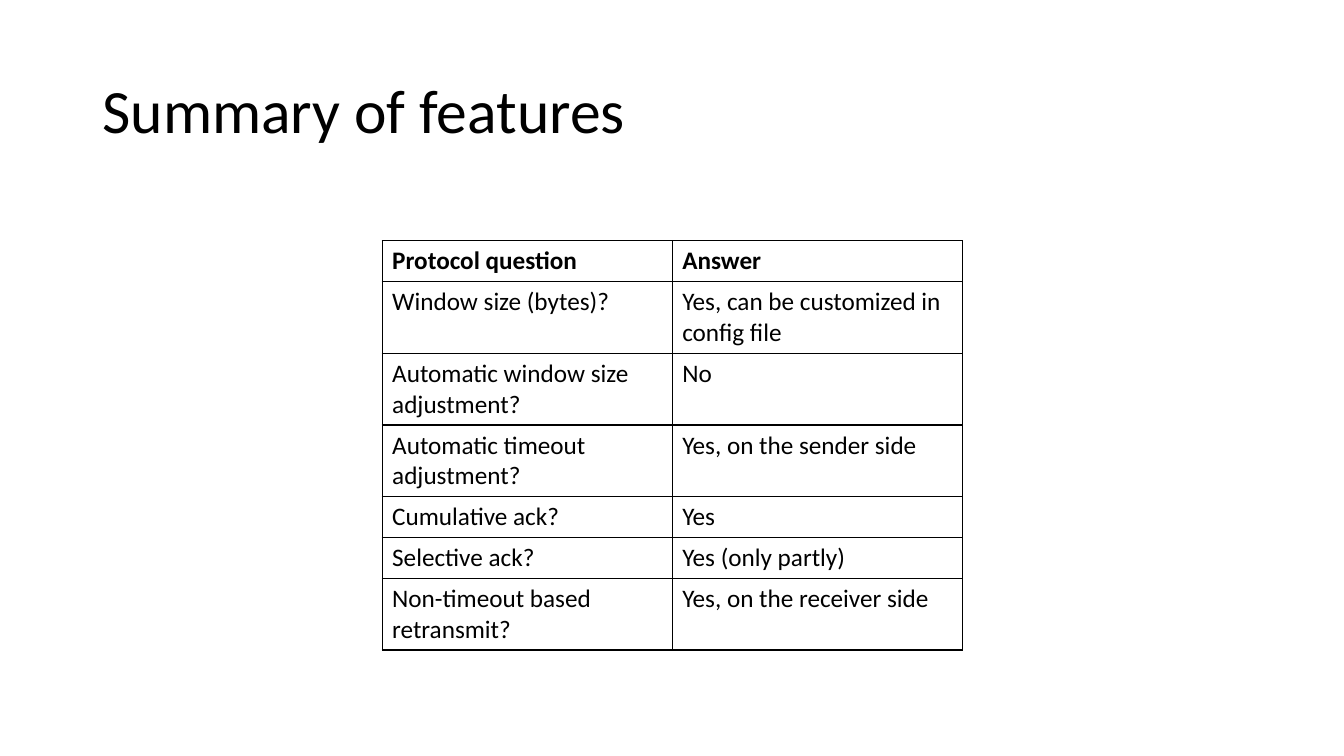
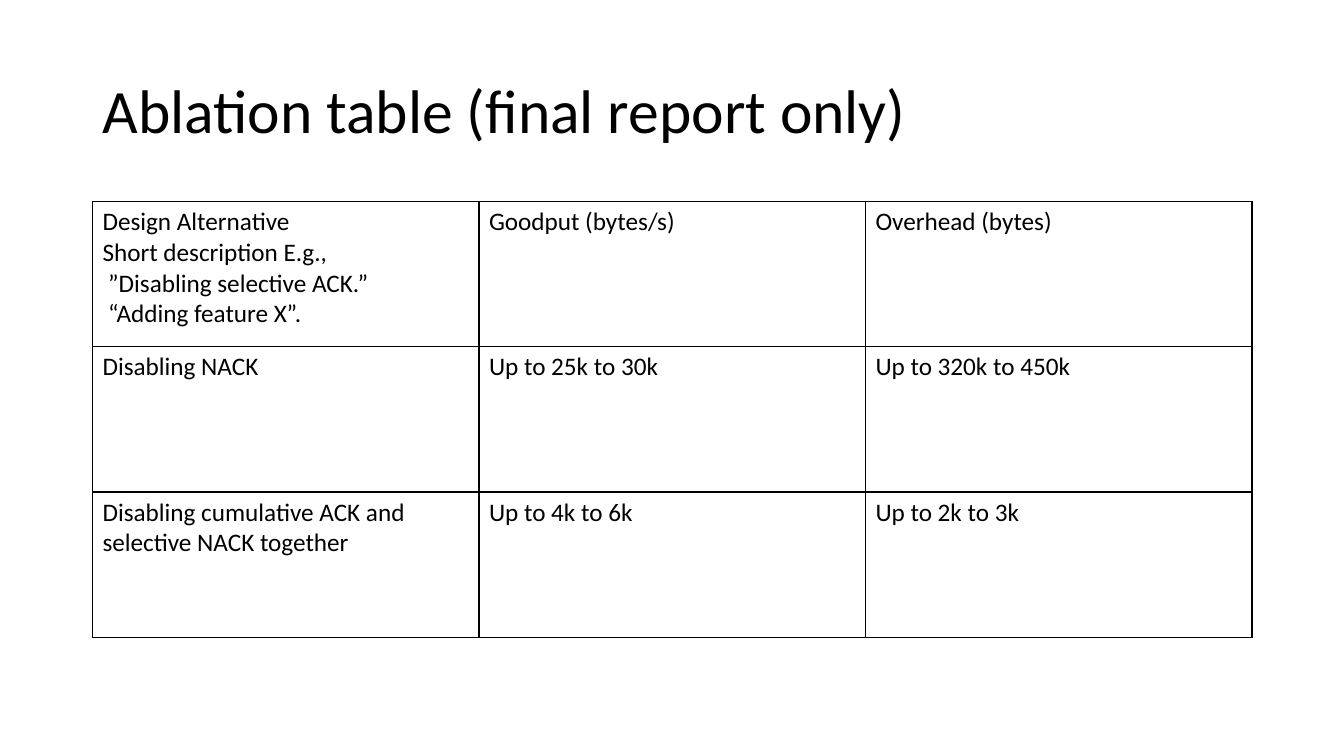
from dataclasses import dataclass

from lxml.etree import SubElement
from pptx import Presentation
from pptx.dml.color import RGBColor
from pptx.enum.text import MSO_ANCHOR as Anchor, MSO_AUTO_SIZE as AutoSize, PP_ALIGN as Align
from pptx.oxml.ns import qn
from pptx.presentation import Presentation as Deck
from pptx.slide import Slide
from pptx.table import _Cell as Cell
from pptx.text.text import _Paragraph as Paragraph
from pptx.util import Cm, Pt

BLACK = RGBColor(0x00, 0x00, 0x00)
TITLE_ONLY = 5
BORDER_SIDES = ("lnL", "lnR", "lnT", "lnB")
BORDER_WIDTH = Pt(1)

TITLE_BOX = {"left": Cm(2.33), "top": Cm(1.01), "width": Cm(29.21), "height": Cm(3.68)}
TITLE_FRAME = {"word_wrap": True, "auto_size": AutoSize.NONE, "vertical_anchor": Anchor.MIDDLE}
TITLE_PARAGRAPH = {"alignment": Align.LEFT, "line_spacing": 0.9}
TITLE_FONT = {"name": "Calibri", "size": Pt(44), "bold": False}
CELL_FONT = {"name": "Calibri", "size": Pt(18)}
PLAIN_TABLE = {"first_row": False, "horz_banding": False}


@dataclass(frozen=True)
class TableSlide:
    title: str
    left: float
    top: float
    column_width: float
    row_height: float
    rows: tuple[tuple[str, ...], ...]
    bold_header: bool = False


TABLE_SLIDES = (
    TableSlide(
        "Summary of features", 9.63, 6.07, 7.31, 1.03,
        (
            ("Protocol question", "Answer"),
            ("Window size (bytes)?", "Yes, can be customized in config file"),
            ("Automatic window size adjustment?", "No"),
            ("Automatic timeout adjustment?", "Yes, on the sender side"),
            ("Cumulative ack?", "Yes"),
            ("Selective ack?", "Yes (only partly)"),
            ("Non-timeout based retransmit?", "Yes, on the receiver side"),
        ),
        bold_header=True,
    ),
    TableSlide(
        "Ablation table (final report only)", 2.33, 5.08, 9.74, 3.66,
        (
            (
                "Design Alternative\nShort description E.g.,\n ”Disabling selective ACK.”\n “Adding feature X”.",
                "Goodput (bytes/s)",
                "Overhead (bytes)",
            ),
            ("Disabling NACK", "Up to 25k to 30k", "Up to 320k to 450k"),
            ("Disabling cumulative ACK and selective NACK together", "Up to 4k to 6k", "Up to 2k to 3k"),
        ),
    ),
)


def apply_format(target: object, values: dict[str, object]) -> None:
    for name, value in values.items():
        setattr(target, name, value)


def format_font(paragraph: Paragraph, values: dict[str, object]) -> None:
    for run in paragraph.runs:
        apply_format(run.font, values)
        run.font.color.rgb = BLACK


def add_title(slide: Slide, text: str) -> None:
    title = slide.shapes.title
    apply_format(title, TITLE_BOX)
    apply_format(title.text_frame, TITLE_FRAME)
    title.text_frame.text = text
    paragraph = title.text_frame.paragraphs[0]
    apply_format(paragraph, TITLE_PARAGRAPH)
    format_font(paragraph, TITLE_FONT)


def add_borders(cell: Cell) -> None:
    properties = cell._tc.get_or_add_tcPr()
    for position, side in enumerate(BORDER_SIDES):
        line = SubElement(properties, qn(f"a:{side}"), w=str(BORDER_WIDTH))
        fill = SubElement(line, qn("a:solidFill"))
        SubElement(fill, qn("a:srgbClr"), val=str(BLACK))
        properties.insert(position, line)


def fill_cell(cell: Cell, text: str, bold: bool) -> None:
    cell.text = text
    cell.fill.background()
    for paragraph in cell.text_frame.paragraphs:
        format_font(paragraph, CELL_FONT | {"bold": bold})
    add_borders(cell)


def add_table(slide: Slide, content: TableSlide) -> None:
    row_count, column_count = len(content.rows), len(content.rows[0])
    table = slide.shapes.add_table(
        row_count, column_count, Cm(content.left), Cm(content.top),
        Cm(content.column_width * column_count), Cm(content.row_height * row_count),
    ).table
    apply_format(table, PLAIN_TABLE)
    for row_index, row in enumerate(content.rows):
        for column_index, text in enumerate(row):
            bold = content.bold_header and row_index == 0
            fill_cell(table.cell(row_index, column_index), text, bold)


def add_table_slide(presentation: Deck, content: TableSlide) -> None:
    slide = presentation.slides.add_slide(presentation.slide_layouts[TITLE_ONLY])
    add_title(slide, content.title)
    add_table(slide, content)


def main() -> None:
    presentation = Presentation()
    apply_format(presentation, {"slide_width": Cm(33.87), "slide_height": Cm(19.05)})
    for content in TABLE_SLIDES:
        add_table_slide(presentation, content)
    presentation.save("out.pptx")


if __name__ == "__main__":
    main()
